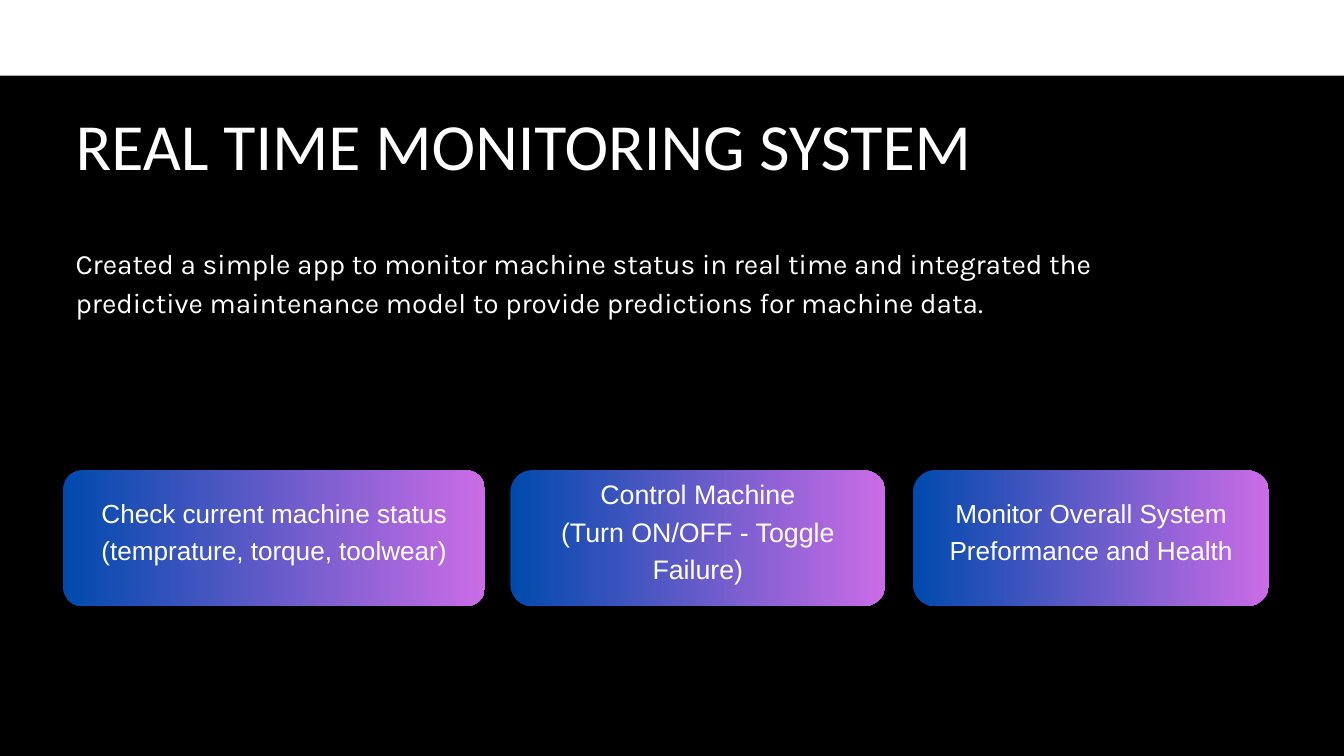
from pptx import Presentation
from pptx.dml.color import RGBColor
from pptx.enum.shapes import MSO_SHAPE
from pptx.enum.text import MSO_ANCHOR, MSO_AUTO_SIZE, PP_ALIGN
from pptx.util import Pt

PX = 9525  # EMU per px, 96 px to the inch
RECTANGLE, ROUNDED = MSO_SHAPE.RECTANGLE, MSO_SHAPE.ROUNDED_RECTANGLE
TOP, MIDDLE = MSO_ANCHOR.TOP, MSO_ANCHOR.MIDDLE
LEFT, CENTER = PP_ALIGN.LEFT, PP_ALIGN.CENTER
NO_AUTOFIT = MSO_AUTO_SIZE.NONE
TITLE_ONLY = 5
COLORS = {
    "background": "000000",
    "band": "FFFFFF",
    "text": "FFFFFF",
    "card_start": "004AAD",
    "card_end": "CB6CE6",
}


def color(name):
    return RGBColor.from_string(COLORS[name])


def write(shape, lines, font, size, spacing, align=LEFT, anchor=TOP, insets=(0, 0, 0, 0)):
    frame = shape.text_frame
    left, top, right, bottom = (inset * PX for inset in insets)
    frame_format = {
        "word_wrap": True, "auto_size": NO_AUTOFIT, "vertical_anchor": anchor,
        "margin_left": left, "margin_top": top,
        "margin_right": right, "margin_bottom": bottom,
    }
    for name, value in frame_format.items():
        setattr(frame, name, value)
    frame.text = "\n".join(lines)
    for paragraph in frame.paragraphs:
        paragraph.alignment = align
        paragraph.line_spacing = Pt(spacing)
        for name, value in {"name": font, "size": Pt(size)}.items():
            setattr(paragraph.font, name, value)
        paragraph.font.color.rgb = color("text")


presentation = Presentation()
presentation.slide_width = 1920 * PX
presentation.slide_height = 1080 * PX
slide = presentation.slides.add_slide(presentation.slide_layouts[TITLE_ONLY])
slide.background.fill.solid()
slide.background.fill.fore_color.rgb = color("background")

# Title
title = slide.shapes.title
title_place = {"left": 108, "top": 163, "width": 1317, "height": 101}
for name, value in title_place.items():
    setattr(title, name, value * PX)
write(title, ["REAL TIME MONITORING SYSTEM"], "Calibri", 70.6, 74.9)

# Description
description = slide.shapes.add_textbox(108 * PX, 344 * PX, 1561 * PX, 110 * PX)
write(description, [
    "Created a simple app to monitor machine status in real time and integrated the "
    "predictive maintenance model to provide predictions for machine data."
], "Karla", 30, 42)

# Feature cards: left, width, corner radius, text size, line spacing, lines
CARD_TOP, CARD_HEIGHT = 672, 194
cards = [
    (90, 603, 27, 28, 39.2,
     ["Check current machine status", "(temprature, torque, toolwear)"]),
    (729, 536, 31, 28.7, 40.2,
     ["Control Machine", "(Turn ON/OFF - Toggle Failure)"]),
    (1304, 509, 32, 28, 39.2,
     ["Monitor Overall System Preformance and Health"]),
]
for left, width, radius, size, spacing, lines in cards:
    card = slide.shapes.add_shape(
        ROUNDED, left * PX, CARD_TOP * PX, width * PX, CARD_HEIGHT * PX)
    card.adjustments[0] = radius / CARD_HEIGHT
    card.shadow.inherit = False
    card.line.fill.background()
    card.fill.gradient()
    card.fill.gradient_angle = 0
    for stop, name in zip(card.fill.gradient_stops, ("card_start", "card_end")):
        stop.color.rgb = color(name)
    # The deeper bottom inset lifts the text above the card's centre
    write(card, lines, "Arial", size, spacing, CENTER, MIDDLE, (6, 0, 6, 27))

# Top band
band = slide.shapes.add_shape(RECTANGLE, 0, 0, 1920 * PX, 108 * PX)
band.shadow.inherit = False
band.line.fill.background()
band.fill.solid()
band.fill.fore_color.rgb = color("band")

presentation.save("out.pptx")
